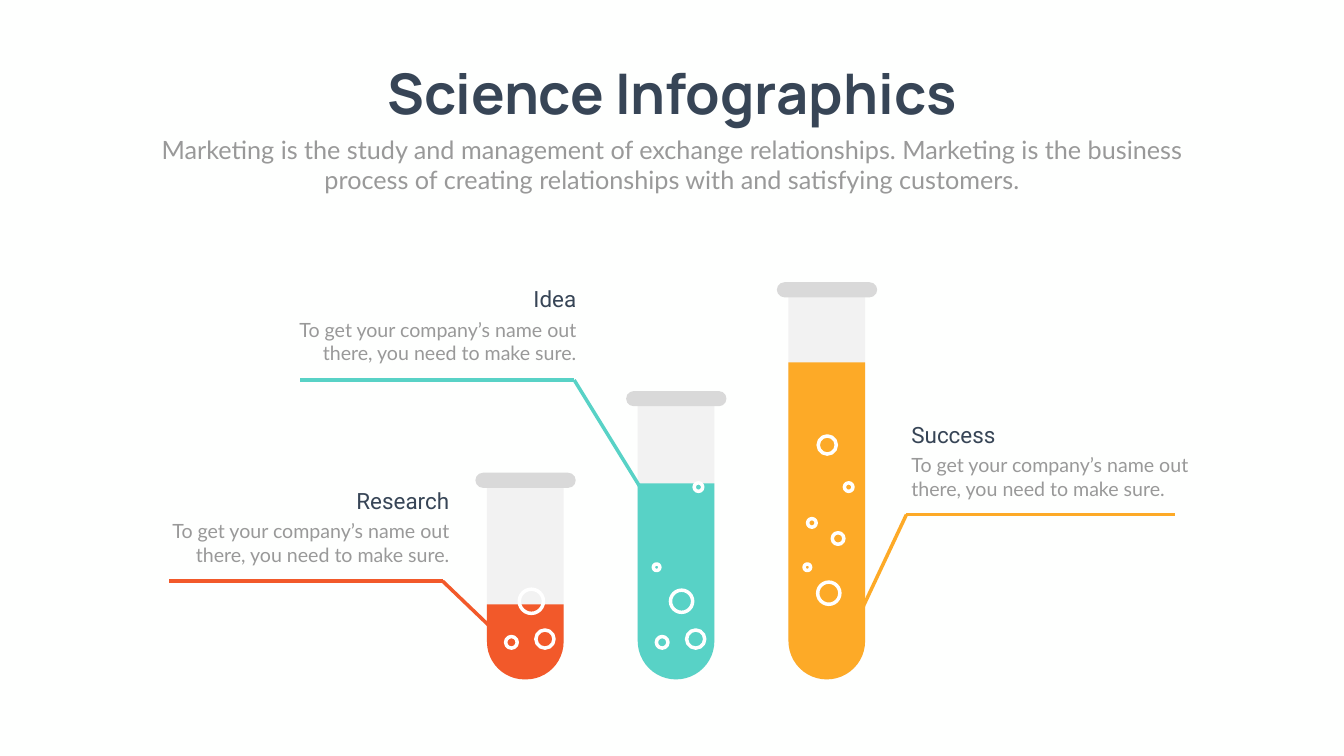
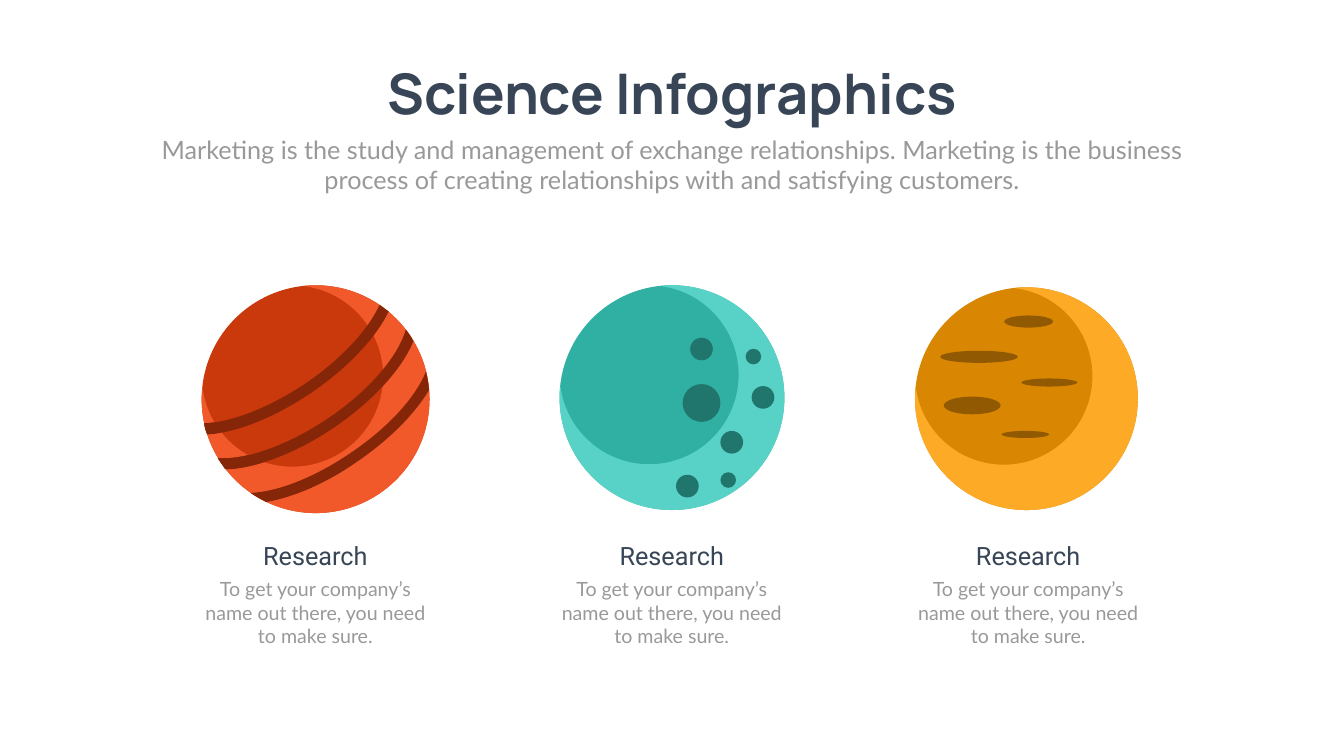
from math import cos, radians, sin, tan

from lxml import etree
from pptx import Presentation
from pptx.dml.color import RGBColor
from pptx.enum.shapes import MSO_CONNECTOR, MSO_SHAPE
from pptx.enum.text import MSO_ANCHOR, MSO_AUTO_SIZE, PP_ALIGN
from pptx.oxml.ns import qn
from pptx.util import Inches, Pt

LEFT, CENTER, RIGHT = PP_ALIGN.LEFT, PP_ALIGN.CENTER, PP_ALIGN.RIGHT
OVAL, PILL = MSO_SHAPE.OVAL, MSO_SHAPE.ROUNDED_RECTANGLE
TUBE = MSO_SHAPE.ROUND_2_SAME_RECTANGLE

BACKGROUND = RGBColor(0xFE, 0xFF, 0xFE)
WHITE = RGBColor(0xFF, 0xFF, 0xFF)
NAVY = RGBColor(0x37, 0x45, 0x56)
GRAY = RGBColor(0x99, 0x99, 0x99)
GLASS = RGBColor(0xF2, 0xF2, 0xF2)
RIM = RGBColor(0xD9, 0xD9, 0xD9)
ORANGE = RGBColor(0xF2, 0x59, 0x2A)
ORANGE_DARK = RGBColor(0xC9, 0x39, 0x0C)
ORANGE_DEEP = RGBColor(0x86, 0x26, 0x08)
TEAL = RGBColor(0x58, 0xD2, 0xC6)
TEAL_DARK = RGBColor(0x2F, 0xB0, 0xA3)
TEAL_DEEP = RGBColor(0x20, 0x75, 0x6D)
AMBER = RGBColor(0xFD, 0xAA, 0x27)
AMBER_DARK = RGBColor(0xD9, 0x86, 0x02)
AMBER_DEEP = RGBColor(0x91, 0x59, 0x01)

TITLE = "Science Infographics"
SUBTITLE = ("Marketing is the study and management of exchange relationships. "
            "Marketing is the business process of creating relationships with "
            "and satisfying customers.")
DETAIL = "To get your company’s name out there, you need to make sure."

TUBE_LEFT, TUBE_STEP, TUBE_WIDTH, TUBE_BOTTOM = 9.66, 2.99, 1.52, 13.48
HEADING_WIDTH, DETAIL_WIDTH = 4.99, 6.24
LINE_WIDTH = 5

# Bubbles: offset from the tube's left side, top, diameter.
# Leader: from the liquid to the elbow to the far end.
TUBES = [
    {"name": "Research", "color": ORANGE, "rim": 9.38, "glass": 9.63, "liquid": 11.99,
     "bubbles": [(0.64, 11.69, 0.48), (0.97, 12.5, 0.36), (0.37, 12.63, 0.23)],
     "leader": [(10.22, 12.91), (8.78, 11.53), (3.35, 11.53)],
     "align": RIGHT, "edge": 9.01, "top": 9.61},
    {"name": "Idea", "color": TEAL, "rim": 7.76, "glass": 8.03, "liquid": 9.59,
     "bubbles": [(0.65, 11.71, 0.44), (0.37, 12.63, 0.23), (0.97, 12.5, 0.36),
                 (1.12, 9.58, 0.17), (0.31, 11.19, 0.13)],
     "leader": [(12.83, 9.88), (11.39, 7.54), (5.96, 7.54)],
     "align": RIGHT, "edge": 11.53, "top": 5.61},
    {"name": "Success", "color": AMBER, "rim": 5.6, "glass": 5.89, "liquid": 7.19,
     "bubbles": [(0.58, 11.55, 0.44), (0.38, 10.29, 0.17), (1.11, 9.58, 0.17),
                 (0.31, 11.19, 0.13), (0.87, 10.57, 0.23), (0.59, 8.65, 0.36)],
     "leader": [(16.73, 12.87), (17.98, 10.21), (23.31, 10.21)],
     "align": LEFT, "edge": 17.98, "top": 8.3},
]

# Outlines: a start point, then line ends (2 values) or cubic curves (6 values).
STRIPES = [
    [(5.28, 9.96), (5.81, 9.87, 6.45, 9.6, 7.07, 9.17),
     (7.73, 8.72, 8.23, 8.21, 8.51, 7.74), (8.5, 7.61, 8.48, 7.49, 8.45, 7.37),
     (8.26, 7.85, 7.75, 8.45, 6.95, 8.99), (6.2, 9.5, 5.48, 9.76, 4.97, 9.78),
     (5.07, 9.85, 5.18, 9.91, 5.28, 9.96)],
    [(8.05, 6.54), (7.91, 7.03, 7.38, 7.71, 6.51, 8.3),
     (5.64, 8.88, 4.83, 9.13, 4.32, 9.09), (4.37, 9.17, 4.42, 9.24, 4.47, 9.31),
     (4.51, 9.31, 4.54, 9.31, 4.57, 9.31), (5.15, 9.26, 5.89, 8.98, 6.63, 8.48),
     (7.42, 7.94, 7.98, 7.31, 8.2, 6.77), (8.16, 6.69, 8.11, 6.61, 8.05, 6.54)],
    [(4.92, 9.03), (4.72, 9.08, 4.52, 9.1, 4.32, 9.09), (4.35, 9.13, 4.37, 9.17, 4.4, 9.2),
     (4.42, 9.24, 4.45, 9.27, 4.47, 9.31), (4.51, 9.31, 4.54, 9.31, 4.57, 9.3),
     (4.79, 9.29, 5.02, 9.24, 5.23, 9.17), (5.12, 9.14, 5.02, 9.09, 4.92, 9.03)],
    [(7.71, 6.18), (7.65, 6.14, 7.59, 6.09, 7.53, 6.05),
     (7.32, 6.51, 6.82, 7.09, 6.06, 7.61), (5.29, 8.12, 4.56, 8.38, 4.05, 8.4),
     (4.06, 8.48, 4.08, 8.55, 4.11, 8.62), (4.12, 8.62),
     (4.7, 8.58, 5.44, 8.29, 6.18, 7.79), (6.91, 7.29, 7.46, 6.7, 7.71, 6.18)],
    [(4.12, 8.61), (4.21, 8.61, 4.3, 8.6, 4.38, 8.58), (4.34, 8.52, 4.29, 8.45, 4.25, 8.38),
     (4.18, 8.39, 4.11, 8.4, 4.05, 8.4), (4.06, 8.44, 4.07, 8.47, 4.07, 8.51),
     (4.08, 8.54, 4.09, 8.58, 4.11, 8.61)],
]

# Spots: left, top, width, height.
PLANETS = [
    {"name": "Research", "center": (6.26, 7.92), "radius": 2.26,
     "colors": (ORANGE_DARK, ORANGE, ORANGE_DEEP), "spots": [], "stripes": STRIPES},
    {"name": "Research", "center": (13.33, 7.89), "radius": 2.23,
     "colors": (TEAL_DARK, TEAL, TEAL_DEEP), "stripes": [],
     "spots": [(13.69, 6.7, 0.45, 0.45), (13.54, 7.62, 0.75, 0.75),
               (14.91, 7.66, 0.45, 0.45), (13.41, 9.42, 0.45, 0.45),
               (14.29, 8.55, 0.45, 0.45), (14.79, 6.92, 0.31, 0.31),
               (14.29, 9.37, 0.31, 0.31)]},
    {"name": "Research", "center": (20.36, 7.91), "radius": 2.21,
     "colors": (AMBER_DARK, AMBER, AMBER_DEEP), "stripes": [],
     "spots": [(19.92, 6.26, 0.97, 0.24), (18.72, 7.87, 1.13, 0.35),
               (18.65, 6.96, 1.54, 0.24), (20.26, 7.51, 1.11, 0.16),
               (19.87, 8.55, 0.94, 0.14)]},
]
CAPTION_LEFT, CAPTION_STEP = 3.76, 7.07


def place(shape, left, top, width, height):
    shape.left, shape.top = Inches(left), Inches(top)
    shape.width, shape.height = Inches(width), Inches(height)


def write(shape, text, font, size, color, bold=False, align=LEFT, wrap=True):
    frame = shape.text_frame
    frame.word_wrap = wrap
    frame.auto_size = MSO_AUTO_SIZE.SHAPE_TO_FIT_TEXT
    frame.vertical_anchor = MSO_ANCHOR.TOP
    paragraph = frame.paragraphs[0]
    paragraph.text = text
    paragraph.alignment = align
    paragraph.space_before = Pt(0)
    if shape.is_placeholder:
        properties = paragraph._p.get_or_add_pPr()
        properties.set("marL", "0")
        properties.set("indent", "0")
        etree.SubElement(properties, qn("a:buNone"))
    run_font = paragraph.runs[0].font
    run_font.name, run_font.size, run_font.bold = font, Pt(size), bold
    run_font.color.rgb = color


def add_label(slide, text, left, top, width, height, **style):
    write(slide.shapes.add_textbox(Inches(left), Inches(top), Inches(width), Inches(height)),
          text, **style)


def paint(shape, fill):
    shape.shadow.inherit = False
    shape.fill.solid()
    shape.fill.fore_color.rgb = fill
    shape.line.fill.background()


def add_solid(slide, kind, left, top, width, height, fill, adjustments=()):
    shape = slide.shapes.add_shape(kind, Inches(left), Inches(top),
                                   Inches(width), Inches(height))
    for index, value in enumerate(adjustments):
        shape.adjustments[index] = value
    paint(shape, fill)
    return shape


def add_outline(slide, segments, fill):
    """Build a freeform through all control points, then join triples into cubic curves."""
    points = [(Inches(segment[i]), Inches(segment[i + 1]))
              for segment in segments for i in range(0, len(segment), 2)]
    builder = slide.shapes.build_freeform(*points[0])
    builder.add_line_segments(points[1:], close=True)
    shape = builder.convert_to_shape()
    lines = iter(list(shape.element.spPr.iter(qn("a:lnTo"))))
    for segment in segments[1:]:
        first = next(lines)
        if len(segment) == 6:
            first.tag = qn("a:cubicBezTo")
            for line in (next(lines), next(lines)):
                first.append(line[0])
                line.getparent().remove(line)
    paint(shape, fill)


def add_bubble(slide, left, top, diameter):
    bubble = add_solid(slide, OVAL, left, top, diameter, diameter, WHITE)
    bubble.fill.background()
    bubble.line.color.rgb = WHITE
    bubble.line.width = Pt(LINE_WIDTH)


def add_line(slide, start, end, color):
    line = slide.shapes.add_connector(MSO_CONNECTOR.STRAIGHT,
                                      *(Inches(value) for value in start + end))
    line.line.color.rgb = color
    line.line.width = Pt(LINE_WIDTH)
    etree.SubElement(line.element.spPr, qn("a:effectLst"))


def arc(center, radius, angles):
    """Return the first point and the cubic curves of an arc cut at the given angles."""
    def point(angle, reach):
        turn = radians(angle)
        return (center[0] + radius * (cos(turn) - reach * sin(turn)),
                center[1] + radius * (sin(turn) + reach * cos(turn)))

    segments = [point(angles[0], 0)]
    for start, end in zip(angles, angles[1:]):
        reach = 4 / 3 * tan(radians(end - start) / 4)
        segments.append(point(start, reach) + point(end, -reach) + point(end, 0))
    return segments


def add_slide(presentation):
    slide = presentation.slides.add_slide(presentation.slide_layouts[1])
    title, subtitle = slide.placeholders
    place(title, 7.17, 1.12, 12.33, 1.45)
    write(title, TITLE, "Manrope", 80, NAVY, bold=True, align=CENTER, wrap=False)
    place(subtitle, 2.92, 2.61, 20.82, 1.31)
    write(subtitle, SUBTITLE, "Lato", 36, GRAY, align=CENTER)
    return slide


def add_tube(slide, tube, left):
    for top, color in ((tube["glass"], GLASS), (tube["liquid"], tube["color"])):
        body = add_solid(slide, TUBE, left, top, TUBE_WIDTH, TUBE_BOTTOM - top,
                         color, (0.5, 0))
        body.element.spPr.xfrm.set("flipV", "1")
    add_solid(slide, PILL, left - 0.23, tube["rim"], 1.99, 0.3, RIM, (0.5,))


def add_callout(slide, tube):
    start, elbow, end = tube["leader"]
    add_line(slide, start, elbow, tube["color"])
    add_line(slide, elbow, end, tube["color"])
    align, edge, top = tube["align"], tube["edge"], tube["top"]
    shift = 1 if align == RIGHT else 0
    add_label(slide, tube["name"], edge - shift * HEADING_WIDTH, top, HEADING_WIDTH, 0.64,
              font="Roboto", size=32, color=NAVY, align=align)
    add_label(slide, DETAIL, edge - shift * DETAIL_WIDTH, top + 0.64, DETAIL_WIDTH, 1.04,
              font="Lato", size=28, color=GRAY, align=align)


def add_planet(slide, planet):
    """Draw a dark disc, a bright crescent over it, then the markings."""
    (x, y), radius = planet["center"], planet["radius"]
    dark, bright, deep = planet["colors"]
    add_solid(slide, OVAL, x - radius, y - radius, 2 * radius, 2 * radius, dark)
    shade_center = (x - 0.203 * radius, y - 0.203 * radius)
    add_outline(slide, arc((x, y), radius, [-96, -90, 0, 90, 180, 186])
                + arc(shade_center, 0.796 * radius, [173, 90, 0, -83]), bright)
    for spot in planet["spots"]:
        add_solid(slide, OVAL, *spot, deep)
    for stripe in planet["stripes"]:
        add_outline(slide, stripe, deep)


def build_tubes(presentation):
    slide = add_slide(presentation)
    for index, tube in enumerate(TUBES):
        add_tube(slide, tube, TUBE_LEFT + index * TUBE_STEP)
    for index, tube in enumerate(TUBES):
        add_callout(slide, tube)
        for offset, top, diameter in tube["bubbles"]:
            add_bubble(slide, TUBE_LEFT + index * TUBE_STEP + offset, top, diameter)


def build_planets(presentation):
    slide = add_slide(presentation)
    for index, planet in enumerate(PLANETS):
        add_planet(slide, planet)
        left = CAPTION_LEFT + index * CAPTION_STEP
        add_label(slide, planet["name"], left, 10.68, HEADING_WIDTH, 0.71,
                  font="Roboto", size=36, color=NAVY, align=CENTER)
        add_label(slide, DETAIL, left, 11.4, HEADING_WIDTH, 1.51,
                  font="Lato", size=28, color=GRAY, align=CENTER)


def main():
    presentation = Presentation()
    presentation.slide_width, presentation.slide_height = Inches(26.66), Inches(15)
    background = presentation.slide_master.background.fill
    background.solid()
    background.fore_color.rgb = BACKGROUND
    build_tubes(presentation)
    build_planets(presentation)
    presentation.save("out.pptx")


if __name__ == "__main__":
    main()
